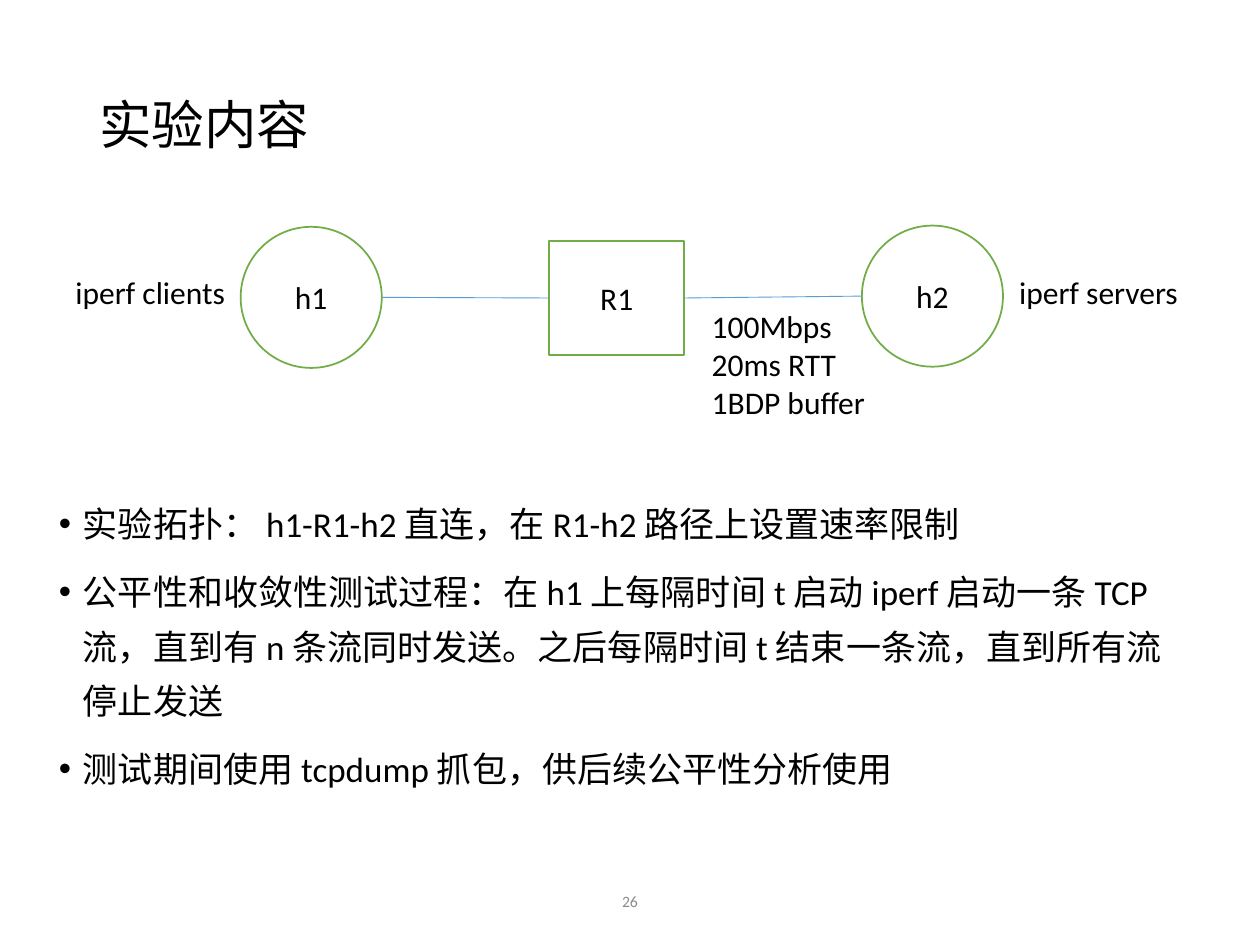
"""Build the experiment slide: h1-R1-h2 topology and test procedure."""
from lxml import etree
from pptx import Presentation
from pptx import util as u
from pptx.dml.color import RGBColor
from pptx.enum import shapes, text
from pptx.oxml.ns import qn


def rgb(value):
    return RGBColor.from_string(value)


def put_text(sp, lines, size=18, color="000000", align="l", anchor="t",
             spacing=1.0, before=0, bullet=False):
    tf = sp.text_frame
    tf.word_wrap = True
    tf.vertical_anchor = {"t": text.MSO_ANCHOR.TOP, "m": text.MSO_ANCHOR.MIDDLE}[anchor]
    for i, line in enumerate(lines):
        p = tf.add_paragraph() if i else tf.paragraphs[0]
        p.alignment = {"l": text.PP_ALIGN.LEFT, "c": text.PP_ALIGN.CENTER}[align]
        p.line_spacing = spacing
        p.space_before = u.Pt(before)
        r = p.add_run()
        r.text = line
        r.font.size = u.Pt(size)
        r.font.name = "Calibri"
        r.font.color.rgb = rgb(color)
        if bullet:
            pPr = p._p.get_or_add_pPr()
            pPr.set("marL", str(u.Inches(0.19)))
            pPr.set("indent", str(-u.Inches(0.19)))
            etree.SubElement(pPr, qn("a:buFont")).set("typeface", "Arial")
            etree.SubElement(pPr, qn("a:buChar")).set("char", "•")


prs = Presentation()
prs.slide_width, prs.slide_height = u.Inches(10), u.Inches(7.5)
s = prs.slides.add_slide(prs.slide_layouts[6])

steps = [
    "实验拓扑： h1-R1-h2 直连，在 R1-h2 路径上设置速率限制",
    "公平性和收敛性测试过程：在 h1 上每隔时间 t 启动 iperf 启动一条 TCP 流，"
    "直到有 n 条流同时发送。之后每隔时间 t 结束一条流，直到所有流停止发送",
    "测试期间使用 tcpdump 抓包，供后续公平性分析使用",
]
link_limits = ["100Mbps", "20ms RTT", "1BDP buffer"]
text_boxes = [
    ((0.69, 0.4, 8.62, 1.23), ["实验内容"], dict(size=30, anchor="m", spacing=0.9)),
    ((0.37, 3.84, 9.13, 3.49), steps, dict(size=20, spacing=1.3, before=7.5, bullet=True)),
    ((3.31, 6.95, 3.38, 0.4), ["26"], dict(size=9, color="8C8C8C", align="c", anchor="m")),
    ((5.55, 2.39, 1.68, 1.01), link_limits, {}),
    ((7.99, 2.12, 1.75, 0.4), ["iperf servers"], {}),
    ((0.5, 2.12, 1.75, 0.4), ["iperf clients"], {}),
]

nodes = {}
for name, kind, box in [
    ("R1", shapes.MSO_SHAPE.RECTANGLE, (4.36, 1.91, 1.07, 0.91)),
    ("h1", shapes.MSO_SHAPE.OVAL, (1.91, 1.8, 1.12, 1.12)),
    ("h2", shapes.MSO_SHAPE.OVAL, (6.84, 1.79, 1.12, 1.12)),
]:
    sp = s.shapes.add_shape(kind, *map(u.Inches, box))
    sp.shadow.inherit = False
    sp.fill.solid()
    sp.fill.fore_color.rgb = rgb("FFFFFF")
    sp.line.color.rgb = rgb("70AD47")
    sp.line.width = u.Pt(1)
    put_text(sp, [name], align="c", anchor="m")
    nodes[name] = sp

links = []
for start, end in [((3.03, 2.36), (4.36, 2.36)), ((5.43, 2.36), (6.84, 2.35))]:
    link = s.shapes.add_connector(shapes.MSO_CONNECTOR.STRAIGHT, *map(u.Inches, start + end))
    link.line.color.rgb = rgb("5B9BD5")
    link.line.width = u.Pt(0.5)
    etree.SubElement(link._element.spPr, qn("a:effectLst"))
    links.append(link)
links[0].end_connect(nodes["R1"], 1)
links[1].begin_connect(nodes["R1"], 3)

for box, lines, style in text_boxes:
    sp = s.shapes.add_textbox(*map(u.Inches, box))
    put_text(sp, lines, **style)

prs.save("out.pptx")
